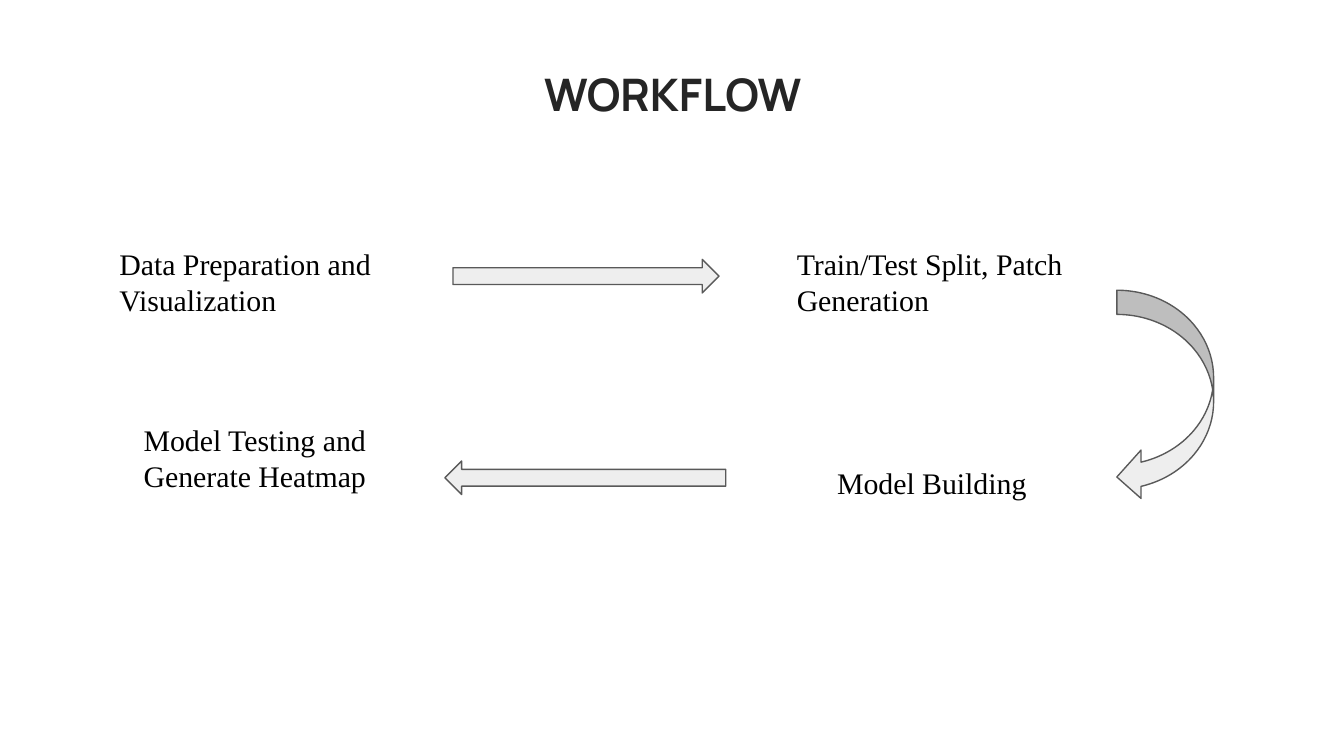
"""Build the workflow slide: four steps joined by block arrows."""
from pptx import Presentation
from pptx.dml.color import RGBColor
from pptx.enum.shapes import MSO_SHAPE as Kind
from pptx.enum.text import MSO_ANCHOR as Anchor, MSO_AUTO_SIZE as Fit, PP_ALIGN as Align
from pptx.util import Inches, Pt


def paint(color, tint):
    color.rgb = RGBColor.from_string(tint)


def write(shape, text, font="Times New Roman", size=16, tint="000000",
          bold=False, align=Align.LEFT, anchor=Anchor.TOP):
    frame = shape.text_frame
    frame.word_wrap = True
    frame.auto_size = Fit.NONE
    frame.vertical_anchor = anchor
    frame.margin_left = frame.margin_right = Inches(0.1)
    frame.margin_top = frame.margin_bottom = Inches(0.1)
    para = frame.paragraphs[0]
    para.alignment = align
    run = para.add_run()
    run.text = text
    run.font.name = font
    run.font.size = Pt(size)
    run.font.bold = bold
    paint(run.font.color, tint)


deck = Presentation()
deck.slide_width, deck.slide_height = Inches(10), Inches(10 * 9 / 16)
slide = deck.slides.add_slide(deck.slide_layouts[0])
slide.background.fill.solid()
paint(slide.background.fill.fore_color, "FFFFFF")
spare = slide.placeholders[1].element
spare.getparent().remove(spare)

title = slide.shapes.title
title.left, title.top = Inches(2.39), Inches(0.3)
title.width, title.height = Inches(5.23), Inches(0.7)
write(title, "WORKFLOW", font="Manrope", size=24, tint="252525", bold=True,
      align=Align.CENTER, anchor=Anchor.BOTTOM)

steps = [
    ("Data Preparation and Visualization", 0.79, 1.73, 2.37, 0.96),
    ("Train/Test Split, Patch Generation", 5.83, 1.73, 2.59, 0.64),
    ("Model Building", 6.13, 3.36, 1.98, 0.64),
    ("Model Testing and Generate Heatmap", 0.97, 3.04, 1.91, 0.64),
]
for text, *area in steps:
    write(slide.shapes.add_textbox(*map(Inches, area)), text)

arrows = [
    (Kind.RIGHT_ARROW, (0.5, 0.5), 3.37, 1.93, 1.98, 0.25),
    (Kind.CURVED_LEFT_ARROW, (0.25, 0.5, 0.25), 8.31, 2.16, 0.72, 1.57),
    (Kind.LEFT_ARROW, (0.5, 0.5), 3.31, 3.43, 2.09, 0.25),
]
for kind, ratios, *area in arrows:
    arrow = slide.shapes.add_shape(kind, *map(Inches, area))
    for i, ratio in enumerate(ratios):
        arrow.adjustments[i] = ratio
    arrow.shadow.inherit = False
    arrow.fill.solid()
    paint(arrow.fill.fore_color, "EEEEEE")
    paint(arrow.line.color, "595959")
    arrow.line.width = Pt(0.75)

deck.save("out.pptx")
